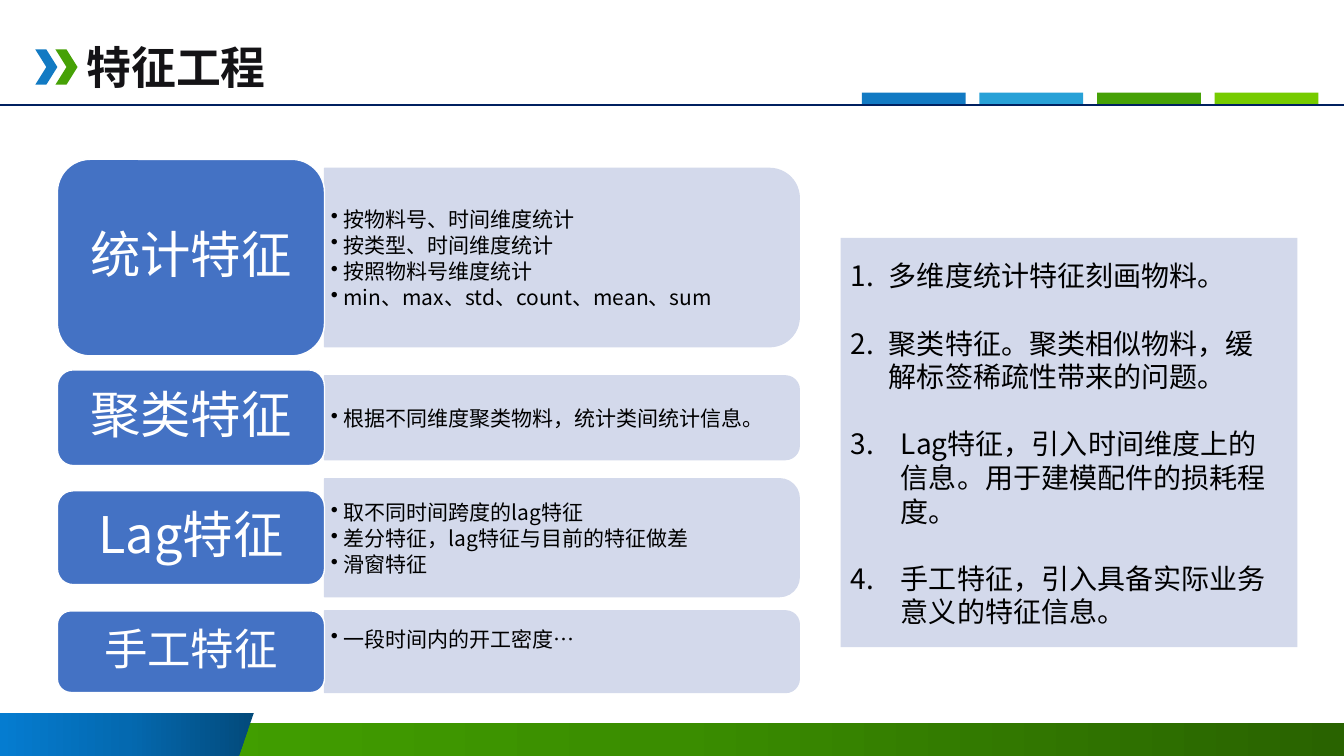
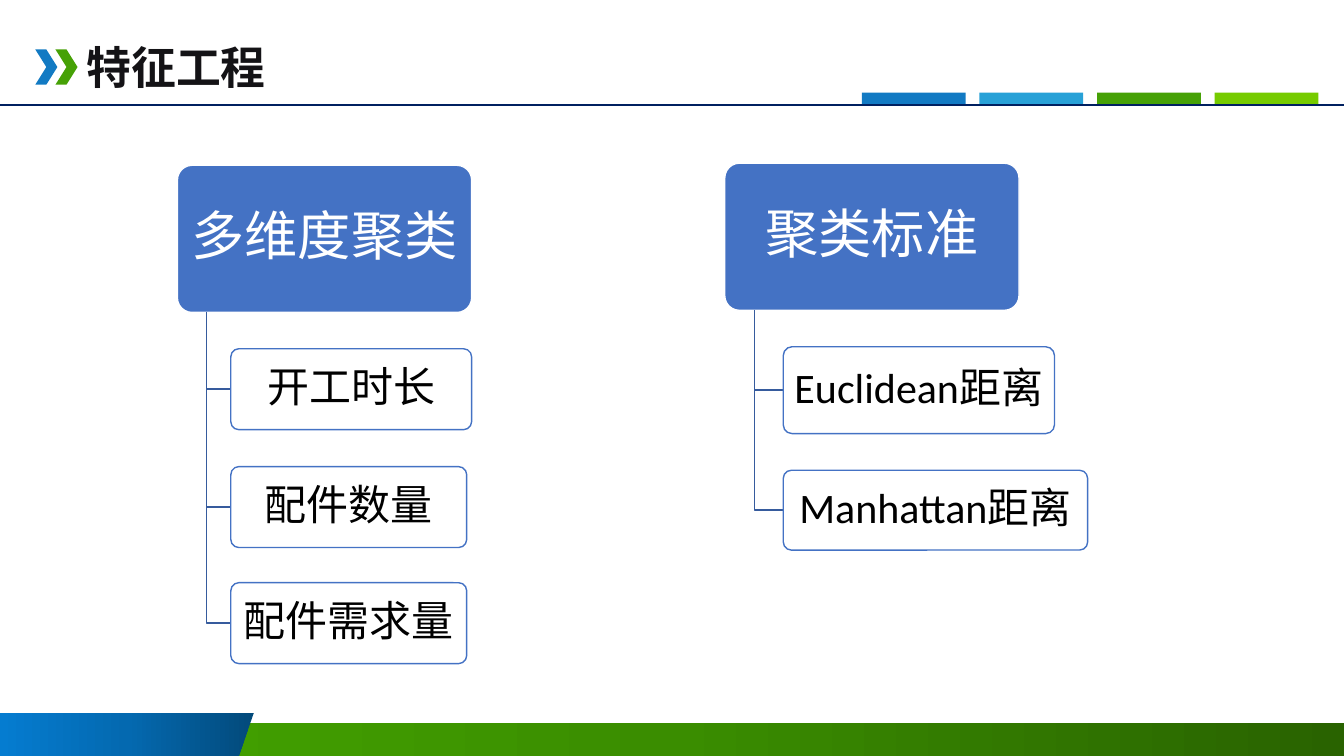
"""Build two slides about feature engineering."""
from copy import deepcopy

from lxml.etree import SubElement
from pptx import Presentation
from pptx.dml.color import RGBColor
from pptx.enum.shapes import MSO_CONNECTOR as Connector, MSO_SHAPE as Shape
from pptx.enum.text import MSO_ANCHOR as Anchor, PP_ALIGN as Align
from pptx.oxml.ns import qn
from pptx.util import Pt

COLORS = {
    "title": "141316", "rule": "002060", "blue": "127AC3", "sky": "28A1D7",
    "green": "46A106", "lime": "76CB00", "card": "4472C4", "panel": "D3D9EB",
    "branch": "365B9D", "white": "FFFFFF", "black": "000000",
}
FOOTER_GREENS = ("296300", "3A8D00", "45A700")
FOOTER_BLUES = ("034A7B", "0469B0", "057CD0")
CJK, TITLE_FONT, LATIN = "Noto Sans CJK JP", "Noto Sans CJK SC", "Calibri"
WIDTH, HEIGHT = 960, 540

FEATURES = [
    ("统计特征", 36, 184, 140.4, 127.4, 0,
     ["按物料号、时间维度统计", "按类型、时间维度统计", "按照物料号维度统计",
      "min、max、std、count、mean、sum"]),
    ("聚类特征", 36, 298.4, 68.4, 59.8, 0,
     ["根据不同维度聚类物料，统计类间统计信息。"]),
    ("Lag特征", 36, 384.1, 67, 84.2, 0,
     ["取不同时间跨度的lag特征", "差分特征，lag特征与目前的特征做差", "滑窗特征"]),
    ("手工特征", 31, 465.5, 58.3, 58.3, -9.5, ["一段时间内的开工密度…"]),
]
SUMMARY = [
    ("多维度统计特征刻画物料。", 27.4),
    ("聚类特征。聚类相似物料，缓解标签稀疏性带来的问题。", 27.4),
    ("Lag特征，引入时间维度上的信息。用于建模配件的损耗程度。", 36),
    ("手工特征，引入具备实际业务意义的特征信息。", 36),
]
TREES = [
    ("多维度聚类", 126.7, 118.1, 38.2,
     [("开工时长", 278, 172, 57.8), ("配件数量", 362.2, 168.5, 57.8),
      ("配件需求量", 445.1, 168.5, 57.8)]),
    ("聚类标准", 517.7, 116.6, 41.8,
     [("Euclidean距离", 278.7, 193.7, 62), ("Manhattan距离", 364.4, 217.4, 57)]),
]


def rgb(name):
    """Return the palette colour with this name."""
    return RGBColor.from_string(COLORS[name])


def add_block(slide, kind, left, top, width, height, fill, line=None):
    """Add a preset shape with a plain fill and an optional outline."""
    shape = slide.shapes.add_shape(kind, Pt(left), Pt(top), Pt(width), Pt(height))
    shape.shadow.inherit = False
    shape.fill.solid()
    shape.fill.fore_color.rgb = rgb(fill)
    if line:
        shape.line.color.rgb = rgb(line)
        shape.line.width = Pt(1)
    else:
        shape.line.fill.background()
    return shape


def add_outline(slide, points, closed):
    """Add a freeform through the given points."""
    corners = [(Pt(x), Pt(y)) for x, y in points]
    builder = slide.shapes.build_freeform(*corners[0])
    builder.add_line_segments(corners[1:], close=closed)
    shape = builder.convert_to_shape()
    shape.shadow.inherit = False
    return shape


def set_gradient(shape, stops):
    """Fill a shape with three evenly spaced colours, from right to left."""
    shape.fill.gradient()
    shape.fill.gradient_angle = 180
    stop_list = shape._element.spPr.find(".//" + qn("a:gsLst"))
    stop_list.insert(1, deepcopy(stop_list[0]))
    for index, stop in enumerate(shape.fill.gradient_stops):
        stop.position = index / 2
        stop.color.rgb = RGBColor.from_string(stops[index])
    shape.line.fill.background()


def set_frame(shape, insets, anchor=Anchor.MIDDLE, wrap=True):
    """Set the insets (left, top, right, bottom) and anchor of a text frame."""
    frame = shape.text_frame
    frame.word_wrap = wrap
    frame.vertical_anchor = anchor
    frame.margin_left, frame.margin_top, frame.margin_right, frame.margin_bottom = map(Pt, insets)
    return frame


def add_run(paragraph, text, size, color, font=CJK, bold=False):
    """Add a run with one font for Latin and East Asian letters."""
    run = paragraph.add_run()
    run.text = text
    run.font.size = Pt(size)
    run.font.bold = bold
    run.font.color.rgb = rgb(color)
    run.font.name = font
    east_asian = CJK if font == LATIN else font
    SubElement(run._r.get_or_add_rPr(), qn("a:ea"), typeface=east_asian)


def add_list(frame, items, size, spacing, gap, tag, **bullet):
    """Write (text, indent) items as a list with hanging bullets."""
    for index, (text, indent) in enumerate(items):
        paragraph = frame.add_paragraph() if index else frame.paragraphs[0]
        paragraph.alignment = Align.LEFT
        paragraph.line_spacing = Pt(spacing)
        paragraph.space_before = Pt(gap if index else 0)
        properties = paragraph._p.get_or_add_pPr()
        properties.set("marL", str(Pt(indent)))
        properties.set("indent", str(-Pt(indent)))
        SubElement(properties, qn(tag), **bullet)
        add_run(paragraph, text, size, "black")


def add_label(shape, text, size, color, font, inset):
    """Centre a label in a shape."""
    paragraph = set_frame(shape, (inset, 3, inset, 3)).paragraphs[0]
    paragraph.alignment = Align.CENTER
    paragraph.line_spacing = Pt(size * 1.03)
    add_run(paragraph, text, size, color, font)


def add_base(presentation, title):
    """Add a slide with the shared title, colour tabs and footer."""
    slide = presentation.slides.add_slide(presentation.slide_layouts[6])
    box = slide.shapes.add_textbox(Pt(54.7), Pt(24.5), Pt(144), Pt(46))
    frame = set_frame(box, (7.2, 3.6, 7.2, 3.6), Anchor.TOP, wrap=False)
    add_run(frame.paragraphs[0], title, 32, "title", TITLE_FONT, bold=True)
    rule = slide.shapes.add_connector(Connector.STRAIGHT, 0, Pt(74.9), Pt(WIDTH), Pt(74.9))
    rule.line.color.rgb = rgb("rule")
    rule.line.width = Pt(1)
    SubElement(rule._element.spPr, qn("a:effectLst"))
    for index, color in enumerate(("blue", "green")):
        add_block(slide, Shape.CHEVRON, 25.2 + index * 14.4, 35.3, 15.8, 25.2, color)
    for index, color in enumerate(("blue", "sky", "green", "lime")):
        add_block(slide, Shape.RECTANGLE, 615.6 + index * 84, 66.2, 74.2, 8, color)
    band = add_block(slide, Shape.RECTANGLE, 0, 516.2, WIDTH, HEIGHT - 516.2, "green")
    set_gradient(band, FOOTER_GREENS)
    corner = add_outline(slide, [(0, 509), (181.4, 509), (170.6, HEIGHT), (0, HEIGHT)], True)
    set_gradient(corner, FOOTER_BLUES)
    return slide


def add_feature(slide, name, size, middle, card_height, panel_height, shift, details):
    """Add a heading card and its detail panel, both centred on one height."""
    left, width = 231.8, 339.1
    panel = add_block(slide, Shape.ROUND_2_SAME_RECTANGLE, left + (width - panel_height) / 2,
                      middle - width / 2, panel_height, width, "panel", "panel")
    panel.rotation = 90
    box = slide.shapes.add_textbox(Pt(left), Pt(middle - panel_height / 2 + shift),
                                   Pt(width), Pt(panel_height))
    frame = set_frame(box, (4.5, 2.25, 4.5, 2.25))
    add_list(frame, [(text, 9) for text in details], 15, 18.7, 0, "a:buChar", char="•")
    card = add_block(slide, Shape.ROUNDED_RECTANGLE, 41, middle - card_height / 2,
                     190.8, card_height, "card", "white")
    add_label(card, name, size, "white", CJK, 10)


def add_node(slide, text, size, left, top, width, height, fill, line, color):
    """Add a slightly rounded tree node with its label."""
    node = add_block(slide, Shape.ROUNDED_RECTANGLE, left, top, width, height, fill, line)
    node.adjustments[0] = 0.1
    add_label(node, text, size, color, LATIN, 4.5)


def add_tree(slide, name, left, top, offset, leaves):
    """Add a root node with leaves hanging from its trunk."""
    width, height = 210.2, 105.1
    trunk, leaf_left = left + width / 10, left + offset
    add_node(slide, name, 38, left, top, width, height, "card", "white", "white")
    for text, middle, leaf_width, leaf_height in leaves:
        branch = add_outline(slide, [(trunk, top + height), (trunk, middle),
                                     (leaf_left, middle)], False)
        branch.fill.background()
        branch.line.color.rgb = rgb("branch")
        branch.line.width = Pt(1)
        add_node(slide, text, 30, leaf_left, middle - leaf_height / 2, leaf_width,
                 leaf_height, "white", "card", "black")


def main():
    """Build and save the presentation."""
    presentation = Presentation()
    presentation.slide_width, presentation.slide_height = Pt(WIDTH), Pt(HEIGHT)

    slide = add_base(presentation, "特征工程")
    for feature in FEATURES:
        add_feature(slide, *feature)
    summary = add_block(slide, Shape.RECTANGLE, 600.5, 169.9, 326.2, 292.3, "panel")
    frame = set_frame(summary, (7.2, 15, 18.7, 3.6), Anchor.TOP)
    add_list(frame, SUMMARY, 20, 24, 24, "a:buAutoNum", type="arabicPeriod")

    slide = add_base(presentation, "特征工程")
    for tree in TREES:
        add_tree(slide, *tree)

    presentation.save("out.pptx")


if __name__ == "__main__":
    main()
